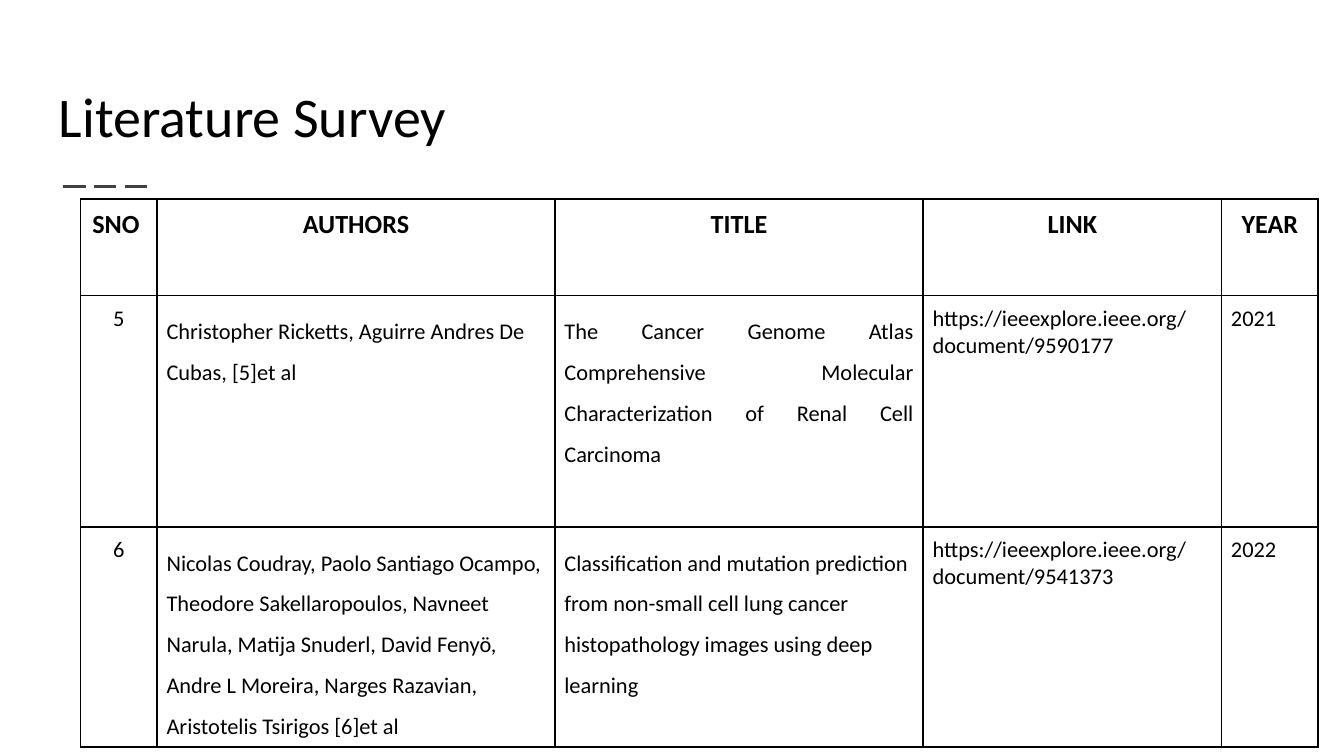
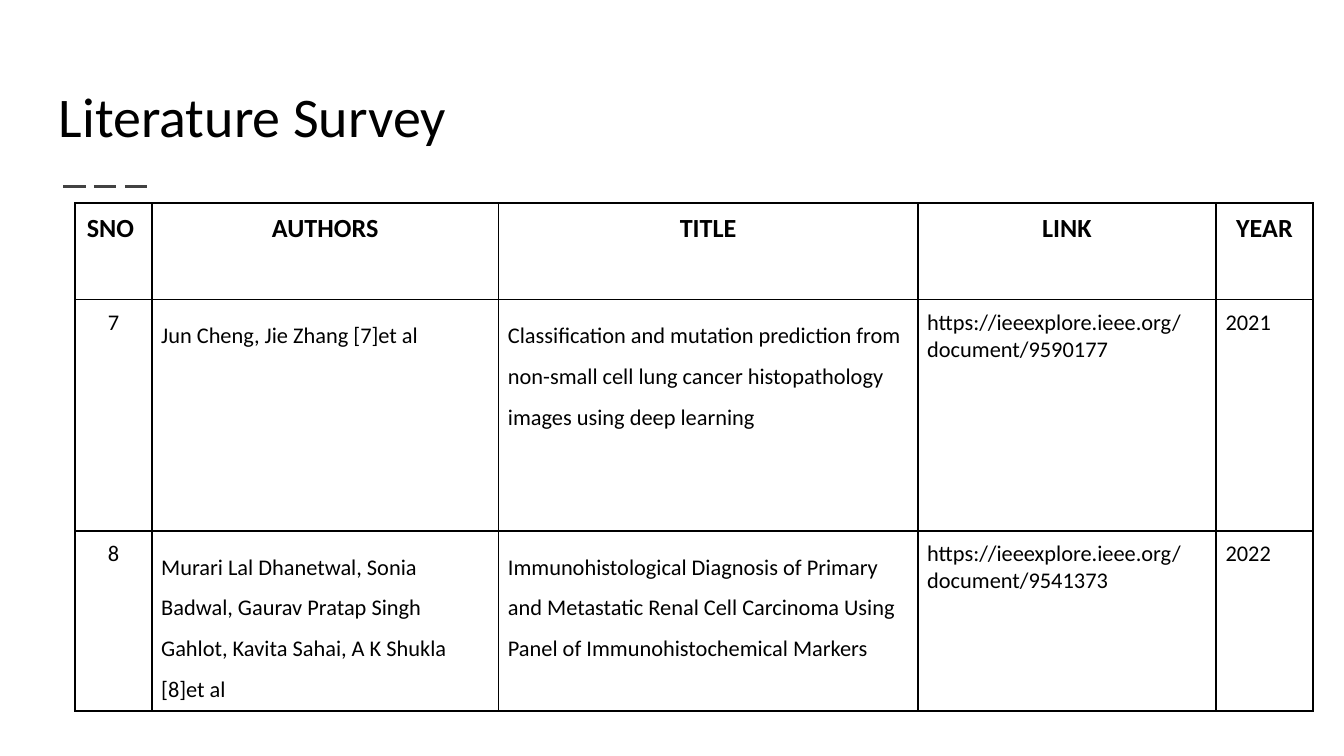
from dataclasses import dataclass

from lxml import etree
from pptx import Presentation
from pptx import util as u
from pptx.dml.color import RGBColor
from pptx.enum import dml, shapes, text
from pptx.oxml import ns

PX = u.Inches(1) // 200  # 200 px to the inch


@dataclass(frozen=True)
class Theme:
    font: str = "Calibri"
    ink: str = "000000"
    paper: str = "FFFFFF"
    accent: str = "424242"
    title_size: int = 30
    header_size: int = 14
    body_size: int = 12
    accent_width: float = 1.5
    border_width: int = 1
    cell_inset: int = 14
    title_inset: int = 20


THEME = Theme()
LEFT, CENTER, JUSTIFY = text.PP_ALIGN.LEFT, text.PP_ALIGN.CENTER, text.PP_ALIGN.JUSTIFY

HEADINGS = ["SNO ", "AUTHORS", "TITLE", "LINK", "YEAR"]
NUMBER_WIDTH, LINK_WIDTH, YEAR_WIDTH = 114, 444, 144
HEADER_HEIGHT, FIRST_PAPER_HEIGHT = 144, 344
LINKS_AND_YEARS = [
    ["https://ieeexplore.ieee.org/document/9590177", "2021"],
    ["https://ieeexplore.ieee.org/document/9541373", "2022"],
]
LUNG_TITLE = ("Classification and mutation prediction from non-small cell lung "
              "cancer histopathology images using deep learning")

SURVEYS = [
    {
        "corner": (120, 296),
        "wide_columns": (592, 548),
        "last_height": 188,
        "justified": {"5"},
        "papers": [
            ["5", "Christopher Ricketts, Aguirre Andres De Cubas, [5]et al",
             "The Cancer Genome Atlas Comprehensive Molecular Characterization "
             "of Renal Cell Carcinoma"],
            ["6", "Nicolas Coudray, Paolo Santiago Ocampo, Theodore Sakellaropoulos, "
             "Navneet Narula, Matija Snuderl, David Fenyö, Andre L Moreira, "
             "Narges Razavian, Aristotelis Tsirigos [6]et al",
             LUNG_TITLE],
        ],
    },
    {
        "corner": (112, 302),
        "wide_columns": (516, 624),
        "last_height": 236,
        "justified": set(),
        "papers": [
            ["7", "Jun Cheng, Jie Zhang [7]et al", LUNG_TITLE],
            ["8", "Murari Lal Dhanetwal, Sonia Badwal, Gaurav Pratap Singh Gahlot, "
             "Kavita Sahai, A K Shukla [8]et al",
             "Immunohistological Diagnosis of Primary and Metastatic Renal Cell "
             "Carcinoma Using Panel of Immunohistochemical Markers"],
        ],
    },
]


def px(*lengths):
    return [u.Emu(length * PX) for length in lengths]


def set_insets(holder, inset):
    """Give a text frame or a table cell the same margin on all sides."""
    for side in ("left", "right", "top", "bottom"):
        setattr(holder, f"margin_{side}", u.Emu(inset * PX))


def add_span(para, words, size, bold=False):
    span = para.add_run()
    span.text = words
    span.font.name = THEME.font
    span.font.size = u.Pt(size)
    span.font.bold = bold
    span.font.color.rgb = RGBColor.from_string(THEME.ink)


def add_title(page, words):
    box = page.shapes.add_textbox(*px(68, 82, 1864, 160))
    frame = box.text_frame
    frame.word_wrap = True
    frame.vertical_anchor = text.MSO_ANCHOR.BOTTOM
    set_insets(frame, THEME.title_inset)
    add_span(frame.paragraphs[0], words, THEME.title_size)


def add_dashed_rule(page):
    rule = page.shapes.add_connector(shapes.MSO_CONNECTOR.STRAIGHT, *px(94, 278, 228, 278))
    rule.line.color.rgb = RGBColor.from_string(THEME.accent)
    rule.line.width = u.Pt(THEME.accent_width)
    rule.line.dash_style = dml.MSO_LINE.LONG_DASH
    etree.SubElement(rule._element.spPr, ns.qn("a:effectLst"))


def add_borders(cell):
    properties = cell._tc.get_or_add_tcPr()
    for index, side in enumerate(("lnL", "lnR", "lnT", "lnB")):
        border = etree.Element(ns.qn(f"a:{side}"), w=str(u.Pt(THEME.border_width)))
        fill = etree.SubElement(border, ns.qn("a:solidFill"))
        etree.SubElement(fill, ns.qn("a:srgbClr"), val=THEME.ink)
        properties.insert(index, border)


def fill_cell(cell, words, size, align=LEFT, bold=False, spaced=False):
    """Write one table cell; spaced text has 1.5 lines and a gap after."""
    cell.fill.background()
    add_borders(cell)
    set_insets(cell, THEME.cell_inset)
    para = cell.text_frame.paragraphs[0]
    para.alignment = align
    if spaced:
        para.line_spacing = 1.5
        para.space_after = u.Pt(8)
    add_span(para, words, size, bold)


def add_survey_table(page, survey):
    widths = [NUMBER_WIDTH, *survey["wide_columns"], LINK_WIDTH, YEAR_WIDTH]
    heights = [HEADER_HEIGHT, FIRST_PAPER_HEIGHT, survey["last_height"]]
    holder = page.shapes.add_table(
        len(heights), len(widths), *px(*survey["corner"], sum(widths), sum(heights)))
    table = holder.table
    table.first_row = table.horz_banding = False
    for column, width in zip(table.columns, px(*widths)):
        column.width = width
    for row, height in zip(table.rows, px(*heights)):
        row.height = height

    for column, heading in enumerate(HEADINGS):
        fill_cell(table.cell(0, column), heading, THEME.header_size, CENTER, bold=True)
    for row, (paper, ending) in enumerate(zip(survey["papers"], LINKS_AND_YEARS), start=1):
        title_align = JUSTIFY if paper[0] in survey["justified"] else LEFT
        aligns = [CENTER, LEFT, title_align, LEFT, LEFT]
        for column, (words, align) in enumerate(zip(paper + ending, aligns)):
            fill_cell(table.cell(row, column), words, THEME.body_size, align,
                      spaced=HEADINGS[column] in ("AUTHORS", "TITLE"))


def add_survey_page(deck, survey):
    page = deck.slides.add_slide(deck.slide_layouts[6])
    page.background.fill.solid()
    page.background.fill.fore_color.rgb = RGBColor.from_string(THEME.paper)
    add_dashed_rule(page)
    add_title(page, "Literature Survey")
    add_survey_table(page, survey)


def main():
    deck = Presentation()
    deck.slide_width, deck.slide_height = px(2000, 1125)
    for survey in SURVEYS:
        add_survey_page(deck, survey)
    deck.save("out.pptx")


if __name__ == "__main__":
    main()
